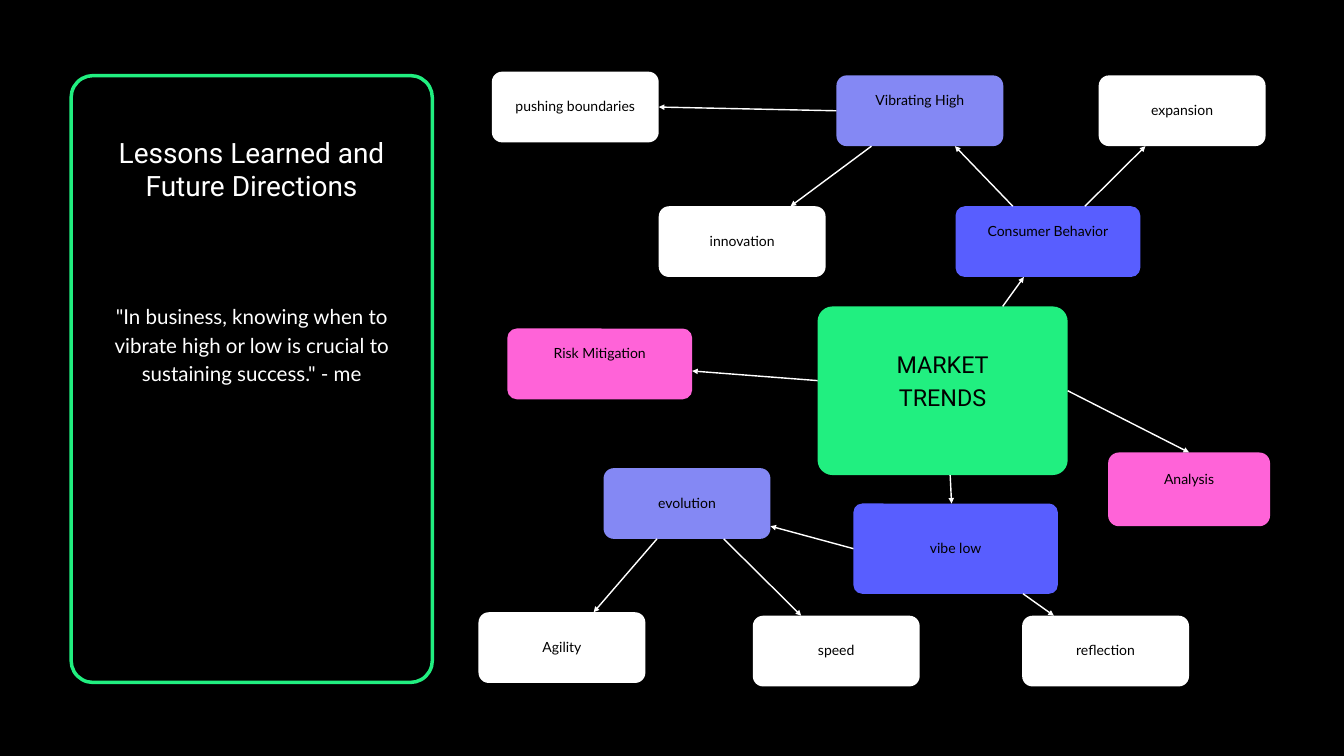
from dataclasses import dataclass

from lxml import etree
from pptx import Presentation
from pptx.dml.color import RGBColor
from pptx.enum.shapes import MSO_CONNECTOR, MSO_SHAPE
from pptx.enum.text import MSO_ANCHOR, PP_ALIGN
from pptx.oxml.ns import qn
from pptx.shapes.autoshape import Shape
from pptx.shapes.shapetree import SlideShapes
from pptx.text.text import TextFrame
from pptx.util import Pt

ROUNDED = MSO_SHAPE.ROUNDED_RECTANGLE
STRAIGHT = MSO_CONNECTOR.STRAIGHT
CENTER = PP_ALIGN.CENTER
MIDDLE = MSO_ANCHOR.MIDDLE
TOP, LEFT, BOTTOM, RIGHT = range(4)


@dataclass(frozen=True)
class TextStyle:
    font: str
    size: float
    spacing: float
    color: RGBColor


@dataclass(frozen=True)
class Theme:
    black: RGBColor = RGBColor(0x00, 0x00, 0x00)
    white: RGBColor = RGBColor(0xFF, 0xFF, 0xFF)
    green: RGBColor = RGBColor(0x21, 0xEF, 0x80)
    pink: RGBColor = RGBColor(0xFF, 0x63, 0xD8)
    blue: RGBColor = RGBColor(0x58, 0x5E, 0xFF)
    lilac: RGBColor = RGBColor(0x84, 0x88, 0xF4)
    title: TextStyle = TextStyle("Roboto", 30, 36, white)
    quote: TextStyle = TextStyle("Lato", 22, 30.8, white)
    hub: TextStyle = TextStyle("Roboto", 25, 35, black)
    topic: TextStyle = TextStyle("Lato", 15, 21, black)
    arrow_width: float = 1.5
    panel_width: float = 3.75


THEME = Theme()


@dataclass(frozen=True)
class Box:
    left: float
    top: float
    width: float
    height: float


@dataclass(frozen=True)
class Topic:
    label: str
    box: Box
    fill: RGBColor
    radius: float = 11
    lift: float = 4.8  # bottom inset that raises the label above the centre
    style: TextStyle = THEME.topic


@dataclass(frozen=True)
class End:
    """A point on one side of a topic, as a fraction along that side."""
    topic: str
    side: int
    along: float = 0.5


@dataclass(frozen=True)
class Link:
    start: End
    finish: End


def small(left: float, top: float) -> Box:
    return Box(left, top, 178.8, 75.8)


def wide(left: float, top: float) -> Box:
    return Box(left, top, 198, 75.8)


RAISED = 25.8

TOPICS = {
    "trends": Topic("MARKET\nTRENDS", Box(876, 328.3, 268, 180.7), THEME.green, 16, 26, THEME.hub),
    "risk": Topic("Risk Mitigation", wide(543.6, 352), THEME.pink, 10, RAISED),
    "consumer": Topic("Consumer Behavior", wide(1023.8, 221), THEME.blue, 10, RAISED),
    "low": Topic("vibe low", Box(914.4, 539.5, 219, 96.7), THEME.blue, 9.4),
    "analysis": Topic("Analysis", Box(1187.3, 484.8, 173.5, 79), THEME.pink, 11.5, RAISED),
    "expansion": Topic("expansion", small(1177.2, 80.8), THEME.white),
    "high": Topic("Vibrating High", small(896.2, 80.8), THEME.lilac, lift=RAISED),
    "boundaries": Topic("pushing boundaries", small(527, 76.8), THEME.white),
    "innovation": Topic("innovation", small(705.8, 221), THEME.white),
    "evolution": Topic("evolution", small(646.7, 501.6), THEME.lilac),
    "reflection": Topic("reflection", small(1095.2, 659.7), THEME.white),
    "agility": Topic("Agility", small(512.7, 656), THEME.white),
    "speed": Topic("speed", small(806.6, 659.7), THEME.white),
}

LINKS = [
    Link(End("trends", RIGHT), End("analysis", TOP)),
    Link(End("trends", LEFT, 0.44), End("risk", RIGHT, 0.6)),
    Link(End("trends", TOP, 0.74), End("consumer", BOTTOM, 0.37)),
    Link(End("trends", BOTTOM, 0.53), End("low", TOP, 0.48)),
    Link(End("consumer", TOP, 0.7), End("expansion", BOTTOM, 0.28)),
    Link(End("consumer", TOP, 0.31), End("high", BOTTOM, 0.71)),
    Link(End("high", LEFT), End("boundaries", RIGHT)),
    Link(End("high", BOTTOM, 0.21), End("innovation", TOP, 0.79)),
    Link(End("low", LEFT), End("evolution", RIGHT, 0.82)),
    Link(End("low", BOTTOM, 0.83), End("reflection", TOP, 0.19)),
    Link(End("evolution", BOTTOM, 0.32), End("agility", TOP, 0.69)),
    Link(End("evolution", BOTTOM, 0.72), End("speed", TOP, 0.29)),
]


def write(frame: TextFrame, text: str, style: TextStyle, bottom: float = 0) -> None:
    """Fill a frame with centred paragraphs, leaving only a bottom inset."""
    frame.word_wrap = True
    frame.margin_left = frame.margin_right = frame.margin_top = 0
    frame.margin_bottom = Pt(bottom)
    frame.text = text
    for paragraph in frame.paragraphs:
        paragraph.alignment = CENTER
        paragraph.line_spacing = Pt(style.spacing)
        paragraph.font.name = style.font
        paragraph.font.size = Pt(style.size)
        paragraph.font.color.rgb = style.color


def place(box: Box) -> tuple[Pt, Pt, Pt, Pt]:
    return Pt(box.left), Pt(box.top), Pt(box.width), Pt(box.height)


def add_rounded(shapes: SlideShapes, box: Box, fill: RGBColor, radius: float) -> Shape:
    card = shapes.add_shape(ROUNDED, *place(box))
    card.adjustments[0] = radius / min(box.width, box.height)
    card.shadow.inherit = False
    card.fill.solid()
    card.fill.fore_color.rgb = fill
    card.line.fill.background()
    return card


def add_topic(shapes: SlideShapes, topic: Topic) -> Shape:
    card = add_rounded(shapes, topic.box, topic.fill, topic.radius)
    card.text_frame.vertical_anchor = MIDDLE
    write(card.text_frame, topic.label, topic.style, topic.lift)
    return card


def locate(end: End) -> tuple[Pt, Pt]:
    box = TOPICS[end.topic].box
    if end.side in (TOP, BOTTOM):
        y = box.top + (box.height if end.side == BOTTOM else 0)
        return Pt(box.left + end.along * box.width), Pt(y)
    x = box.left + (box.width if end.side == RIGHT else 0)
    return Pt(x), Pt(box.top + end.along * box.height)


def add_arrow(shapes: SlideShapes, link: Link, cards: dict[str, Shape]) -> None:
    arrow = shapes.add_connector(STRAIGHT, *locate(link.start), *locate(link.finish))
    for end, join in ((link.start, arrow.begin_connect), (link.finish, arrow.end_connect)):
        if end.along == 0.5:
            join(cards[end.topic], end.side)
    arrow.line.color.rgb = THEME.white
    arrow.line.width = Pt(THEME.arrow_width)
    properties = arrow.element.spPr
    etree.SubElement(properties.find(qn("a:ln")), qn("a:tailEnd"), type="triangle")
    etree.SubElement(properties, qn("a:effectLst"))


def add_panel(shapes: SlideShapes) -> None:
    panel = add_rounded(shapes, Box(76.2, 81, 387, 650.2), THEME.black, 23.4)
    panel.line.color.rgb = THEME.green
    panel.line.width = Pt(THEME.panel_width)
    title = shapes.add_textbox(*place(Box(111.6, 144.7, 316, 146)))
    write(title.text_frame, "Lessons Learned and Future Directions", THEME.title)
    quote = shapes.add_textbox(*place(Box(111.6, 321.1, 316, 121)))
    write(quote.text_frame, '"In business, knowing when to vibrate high or low is crucial '
          'to sustaining success." - me', THEME.quote)


def main() -> None:
    deck = Presentation()
    deck.slide_width, deck.slide_height = Pt(1440), Pt(810)
    slide = deck.slides.add_slide(deck.slide_layouts[6])
    slide.background.fill.solid()
    slide.background.fill.fore_color.rgb = THEME.black
    cards = {key: add_topic(slide.shapes, topic) for key, topic in TOPICS.items()}
    for link in LINKS:
        add_arrow(slide.shapes, link, cards)
    add_panel(slide.shapes)
    deck.save("out.pptx")


if __name__ == "__main__":
    main()
